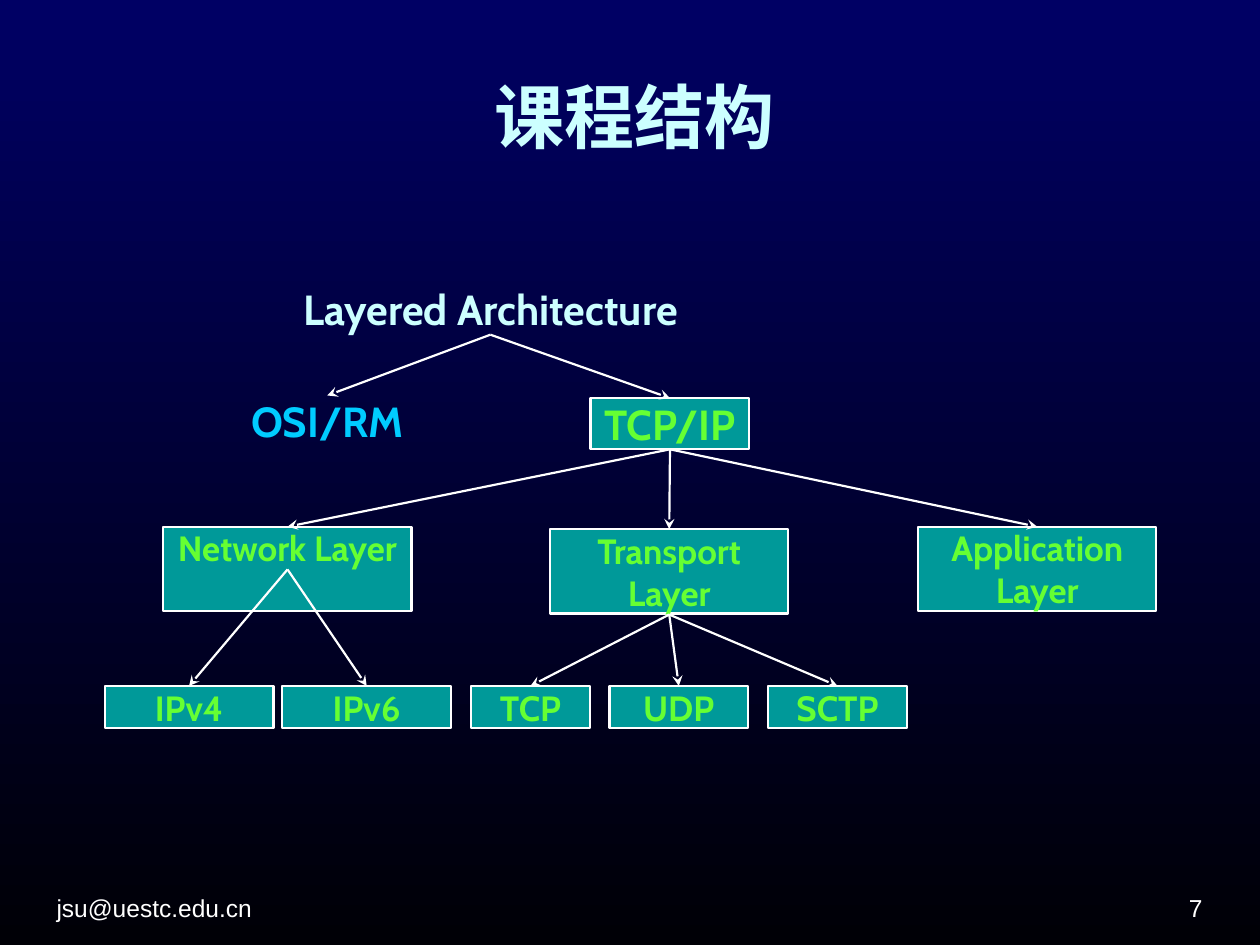
from lxml.etree import SubElement
from pptx import Presentation
from pptx.dml.color import RGBColor
from pptx.enum.shapes import MSO_CONNECTOR as Connector, MSO_SHAPE as Shape
from pptx.enum.text import MSO_ANCHOR as Anchor, PP_ALIGN as Align
from pptx.oxml.ns import qn
from pptx.util import Pt

COLORS = {
    "top": "000064", "bottom": "000006", "white": "FFFFFF", "pale": "CCFFFF",
    "sky": "00CCFF", "teal": "009999", "green": "66FF33",
}
NODES = {
    "root": ("Layered Architecture", 101.3, 0, 238.3, 57.6, 24, "pale"),
    "osi": ("OSI/RM", 79, 64, 96.5, 29, 24, "sky"),
    "tcpip": ("TCP/IP", 277.7, 65.5, 90.7, 29, 24, "green"),
    "network": ("Network Layer", 33.6, 139, 141.8, 48.2, 20, "green"),
    "transport": ("Transport\nLayer", 254.6, 140.4, 136.1, 48.2, 20, "green"),
    "application": ("Application\nLayer", 464.9, 139, 136.1, 48.2, 20, "green"),
    "ipv4": ("IPv4", 0, 230, 96.5, 24, 20, "green"),
    "ipv6": ("IPv6", 101.5, 230, 96.5, 24, 20, "green"),
    "tcp": ("TCP", 209.5, 230, 67.7, 24, 20, "green"),
    "udp": ("UDP", 288.5, 230, 79.2, 24, 20, "green"),
    "sctp": ("SCTP", 379.2, 230, 79.2, 24, 20, "green"),
}
CHILDREN = {
    "root": ["osi", "tcpip"],
    "tcpip": ["network", "transport", "application"],
    "network": ["ipv4", "ipv6"],
    "transport": ["tcp", "udp", "sctp"],
}
LINE_SPACING = 1.22


def color(name):
    """Return the named colour."""
    return RGBColor.from_string(COLORS[name])


def write(shape, text, size, font, tint, align, anchor, bold=False, inset=(0, 0)):
    """Fill a shape with uniformly styled paragraphs."""
    frame = shape.text_frame
    frame.text = text
    frame.word_wrap = True
    frame.vertical_anchor = anchor
    frame.margin_left = frame.margin_right = Pt(inset[0])
    frame.margin_top = frame.margin_bottom = Pt(inset[1])
    for para in frame.paragraphs:
        para.alignment = align
        for span in para.runs:
            span.font.size = Pt(size)
            span.font.name = font
            span.font.bold = bold
            span.font.color.rgb = color(tint)


def add_background(page):
    """Paint the vertical blue gradient."""
    fill = page.background.fill
    fill.gradient()
    fill.gradient_angle = 270
    for stop, name, position in zip(fill.gradient_stops, ("top", "bottom"), (0, 1)):
        stop.color.rgb = color(name)
        stop.position = position


def add_title(page, left, top, width, height):
    """Place the slide title."""
    box = page.shapes.add_textbox(Pt(left), Pt(top), Pt(width), Pt(height))
    write(box, "课程结构", 40, "Karla", "pale", Align.CENTER, Anchor.MIDDLE, True, (7.2, 3.6))


def add_footer(page, left, top, width, height):
    """Place the address and page number at the two ends."""
    part = 168
    for text, start, align in (
        ("jsu@uestc.edu.cn", left, Align.LEFT),
        ("7", left + width - part, Align.RIGHT),
    ):
        box = page.shapes.add_textbox(Pt(start), Pt(top), Pt(part), Pt(height))
        write(box, text, 14, "Arial", "white", align, Anchor.BOTTOM, inset=(7.2, 3.6))


def add_node(page, left, top, text, x, y, width, height, size, tint):
    """Place one tree node, framed when its text is green."""
    area = Pt(left + x), Pt(top + y), Pt(width), Pt(height)
    if tint == "green":
        box = page.shapes.add_shape(Shape.RECTANGLE, *area)
        box.shadow.inherit = False
        box.fill.solid()
        box.fill.fore_color.rgb = color("teal")
        box.line.color.rgb = color("white")
        box.line.width = Pt(1.25)
    else:
        box = page.shapes.add_textbox(*area)
    write(box, text, size, "Cabin", tint, Align.CENTER, Anchor.TOP, True)


def add_arrow(page, left, top, parent, child):
    """Link the text bottom of a parent to the top of a child."""
    text, x, y, width, _, size, _ = NODES[parent]
    _, child_x, child_y, child_width, *_ = NODES[child]
    text_height = len(text.split("\n")) * size * LINE_SPACING
    arrow = page.shapes.add_connector(
        Connector.STRAIGHT,
        Pt(left + x + width / 2), Pt(top + y + text_height),
        Pt(left + child_x + child_width / 2), Pt(top + child_y),
    )
    arrow.line.color.rgb = color("white")
    arrow.line.width = Pt(1.25)
    SubElement(arrow.line._get_or_add_ln(), qn("a:tailEnd"), type="stealth")
    SubElement(arrow._element.spPr, qn("a:effectLst"))


def add_tree(page, left, top):
    """Draw the protocol tree."""
    for node in NODES.values():
        add_node(page, left, top, *node)
    for parent, children in CHILDREN.items():
        for child in children:
            add_arrow(page, left, top, parent, child)


def main():
    """Build and save the slide."""
    deck = Presentation()
    deck.slide_width, deck.slide_height = Pt(720), Pt(540)
    page = deck.slides.add_slide(deck.slide_layouts[6])
    add_background(page)
    add_footer(page, 25.2, 496.8, 669, 33.8)
    add_title(page, 19.4, 37.4, 686, 57.6)
    add_tree(page, 59.8, 162)
    deck.save("out.pptx")


if __name__ == "__main__":
    main()
